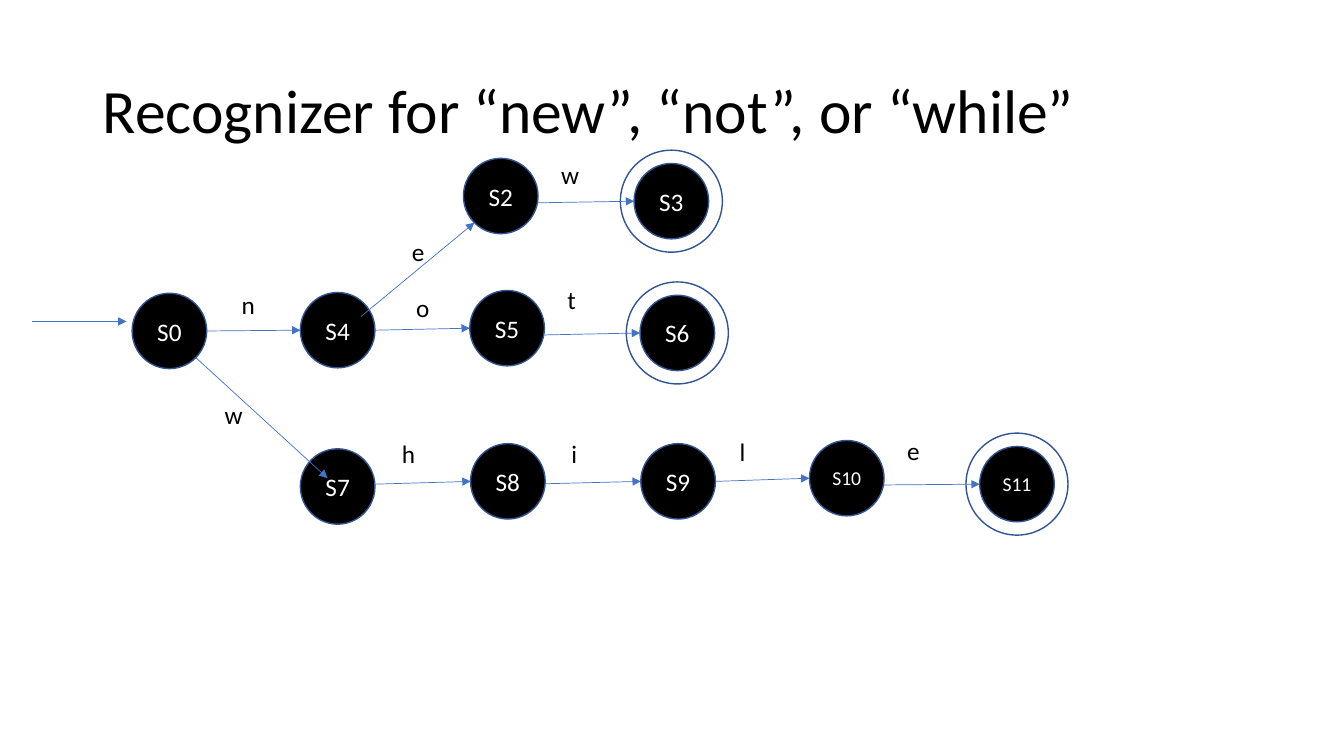
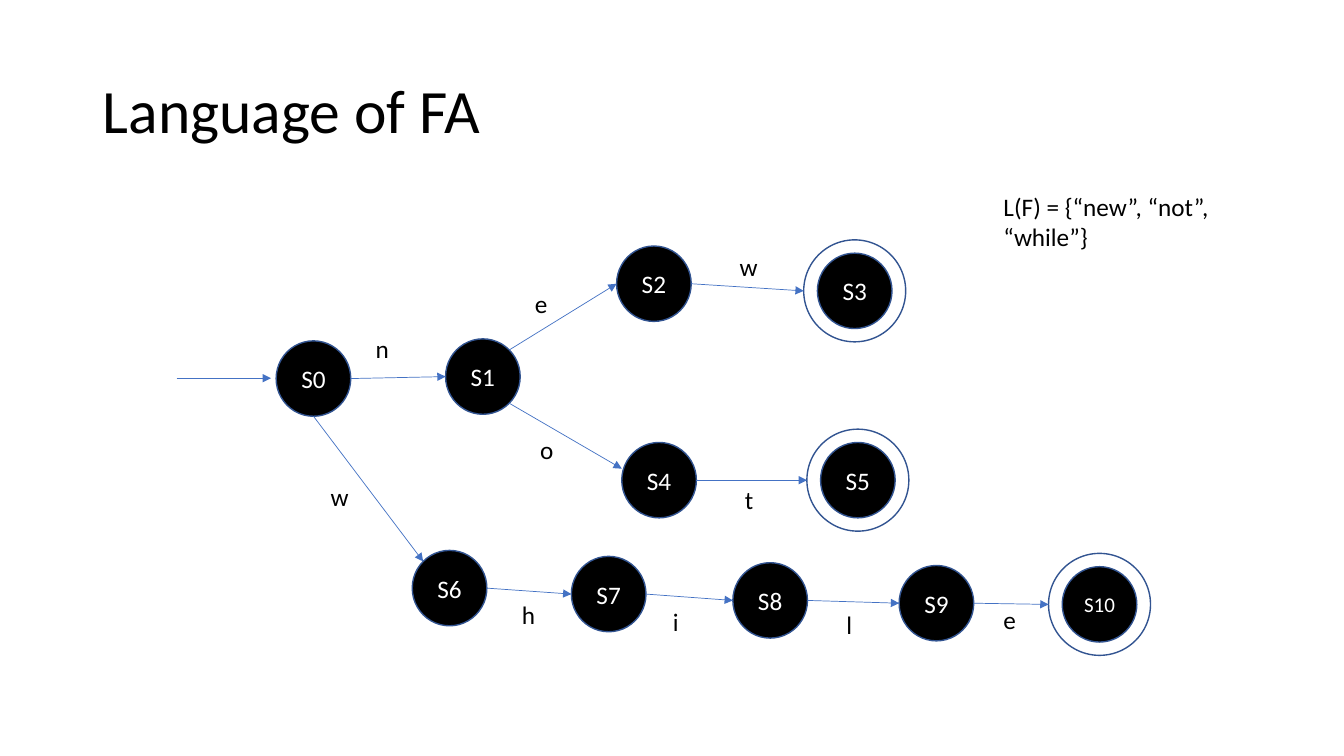
from dataclasses import dataclass
from math import cos, radians, sin

from pptx import Presentation
from pptx.dml.color import RGBColor
from pptx.enum.shapes import MSO_CONNECTOR as Connector, MSO_SHAPE as Shape
from pptx.enum.text import MSO_ANCHOR as Anchor, MSO_AUTO_SIZE as AutoSize, PP_ALIGN as Align
from pptx.oxml.ns import qn
from pptx.util import Cm, Pt
from lxml.etree import SubElement


@dataclass(frozen=True)
class Theme:
    font: str = "Calibri"
    text: RGBColor = RGBColor(0x00, 0x00, 0x00)
    paper: RGBColor = RGBColor(0xFF, 0xFF, 0xFF)
    outline: RGBColor = RGBColor(0x32, 0x54, 0x91)
    arrow: RGBColor = RGBColor(0x44, 0x72, 0xC4)
    title_size: float = 44
    body_size: float = 18
    outline_width: float = 1
    arrow_width: float = 0.5


@dataclass(frozen=True)
class Edge:
    start: str
    end: str
    label: str
    label_at: tuple
    leave: str = "E"
    enter: str = "W"
    start_shift: tuple = (0, 0)
    end_shift: tuple = (0, 0)


THEME = Theme()
STATE_SIZE = (1.88, 1.9)
RING_SIZE = (2.57, 2.57)
LABEL_SIZE = (1.14, 1.02)
ENTRY_LENGTH = 2.38
ANGLES = {"E": 0, "SE": 45, "S": 90, "SW": 135, "W": 180, "NW": 225, "N": 270, "NE": 315}

SLIDES = [
    {
        "title": "Recognizer for “new”, “not”, or “while”",
        "title_width": 29.74,
        "entry": (0.81, 8.1),
        "states": {
            "S0": (4.27, 8.34), "S4": (8.51, 8.32),
            "S2": (12.62, 4.94), "S3": (16.92, 5.07),
            "S5": (12.78, 8.27), "S6": (17.07, 8.39),
            "S7": (8.51, 12.26), "S8": (12.8, 12.13), "S9": (17.09, 12.13),
            "S10": (21.34, 12.05), "S11": (25.63, 12.2),
        },
        "accepting": ("S3", "S6", "S11"),
        "long_name_size": 14,
        "stop_at_ring": False,
        "edges": [
            Edge("S0", "S4", "n", (5.84, 7.16)),
            Edge("S4", "S2", "e", (10.13, 5.82), "NE", "SW", start_shift=(-0.08, 0.33)),
            Edge("S2", "S3", "w", (13.89, 3.89), start_shift=(0, 0.17)),
            Edge("S4", "S5", "o", (10.24, 7.24)),
            Edge("S5", "S6", "t", (14.05, 7.04), start_shift=(0, 0.17)),
            Edge("S0", "S7", "w", (5.41, 9.93), "SE", "NW", end_shift=(0.41, 0.46)),
            Edge("S7", "S8", "h", (9.88, 10.92), start_shift=(0, -0.06)),
            Edge("S8", "S9", "i", (14.15, 10.92), start_shift=(0, 0.06)),
            Edge("S9", "S10", "l", (18.39, 10.87)),
            Edge("S10", "S11", "e", (22.61, 10.85), start_shift=(0, 0.17)),
        ],
        "notes": [],
    },
    {
        "title": "Language of FA",
        "title_width": 29.21,
        "entry": (4.45, 9.53),
        "states": {
            "S0": (7.9, 9.54), "S1": (12.17, 9.49),
            "S2": (16.48, 7.15), "S3": (21.54, 7.33),
            "S4": (16.61, 12.1), "S5": (21.62, 12.1),
            "S6": (11.33, 14.82), "S7": (15.34, 14.97), "S8": (19.41, 15.13),
            "S9": (23.6, 15.2), "S10": (27.71, 15.23),
        },
        "accepting": ("S3", "S5", "S10"),
        "long_name_size": 15,
        "stop_at_ring": True,
        "edges": [
            Edge("S0", "S1", "n", (9.22, 8.28)),
            Edge("S1", "S2", "e", (13.23, 7.14), "NE"),
            Edge("S2", "S3", "w", (18.39, 6.22)),
            Edge("S1", "S4", "o", (13.36, 10.82), "SE", end_shift=(0, -0.29)),
            Edge("S4", "S5", "t", (18.52, 12.09)),
            Edge("S0", "S6", "w", (8.08, 12.01), "S", "NW"),
            Edge("S6", "S7", "h", (12.9, 14.99)),
            Edge("S7", "S8", "i", (16.71, 15.16)),
            Edge("S8", "S9", "l", (21.08, 15.24)),
            Edge("S9", "S10", "e", (25.04, 15.11)),
        ],
        "notes": [("L(F) = {“new”, “not”, “while”}", (25.04, 4.7), (7.39, 4.88))],
    },
]


def style(p, size, color, align=Align.LEFT):
    p.alignment = align
    p.font.name = THEME.font
    p.font.size = Pt(size)
    p.font.color.rgb = color


def add_title(s, text, width):
    sp = s.shapes.title
    sp.left, sp.top, sp.width, sp.height = Cm(2.34), Cm(1.02), Cm(width), Cm(3.68)
    tf = sp.text_frame
    tf.text = text
    tf.auto_size = AutoSize.NONE
    tf.vertical_anchor = Anchor.MIDDLE
    p = tf.paragraphs[0]
    p.line_spacing = 0.9
    style(p, THEME.title_size, THEME.text)


def add_circle(s, center, size, fill):
    (x, y), (w, h) = center, size
    sp = s.shapes.add_shape(Shape.OVAL, Cm(x - w / 2), Cm(y - h / 2), Cm(w), Cm(h))
    sp.shadow.inherit = False
    sp.fill.solid()
    sp.fill.fore_color.rgb = fill
    sp.line.color.rgb = THEME.outline
    sp.line.width = Pt(THEME.outline_width)
    return sp


def add_state(s, name, center, accepting, size):
    if accepting:
        add_circle(s, center, RING_SIZE, THEME.paper)
    tf = add_circle(s, center, STATE_SIZE, THEME.text).text_frame
    tf.text = name
    tf.vertical_anchor = Anchor.MIDDLE
    style(tf.paragraphs[0], size, THEME.paper, Align.CENTER)


def add_arrow(s, start, end):
    line = s.shapes.add_connector(Connector.STRAIGHT, *(Cm(v) for v in (*start, *end)))
    line.line.color.rgb = THEME.arrow
    line.line.width = Pt(THEME.arrow_width)
    SubElement(line.line._get_or_add_ln(), qn("a:tailEnd"), type="triangle")
    SubElement(line._element.spPr, qn("a:effectLst"))


def add_text(s, text, at, size):
    tf = s.shapes.add_textbox(*(Cm(v) for v in (*at, *size))).text_frame
    tf.word_wrap = True
    tf.auto_size = AutoSize.SHAPE_TO_FIT_TEXT
    tf.text = text
    style(tf.paragraphs[0], THEME.body_size, THEME.text)


def rim(center, size, side, shift):
    angle = radians(ANGLES[side])
    return (center[0] + size[0] / 2 * cos(angle) + shift[0],
            center[1] + size[1] / 2 * sin(angle) + shift[1])


def add_automaton(s, data):
    states, accepting = data["states"], data["accepting"]
    for name, center in states.items():
        size = data["long_name_size"] if len(name) > 2 else THEME.body_size
        add_state(s, name, center, name in accepting, size)
    x, y = data["entry"]
    add_arrow(s, (x, y), (x + ENTRY_LENGTH, y))
    for edge in data["edges"]:
        ringed = data["stop_at_ring"] and edge.end in accepting
        end_size = RING_SIZE if ringed else STATE_SIZE
        add_arrow(s, rim(states[edge.start], STATE_SIZE, edge.leave, edge.start_shift),
                  rim(states[edge.end], end_size, edge.enter, edge.end_shift))
        add_text(s, edge.label, edge.label_at, LABEL_SIZE)


def main():
    prs = Presentation()
    prs.slide_width, prs.slide_height = Cm(33.87), Cm(19.05)
    for data in SLIDES:
        s = prs.slides.add_slide(prs.slide_layouts[5])
        add_title(s, data["title"], data["title_width"])
        add_automaton(s, data)
        for note in data["notes"]:
            add_text(s, *note)
    prs.save("out.pptx")


if __name__ == "__main__":
    main()
